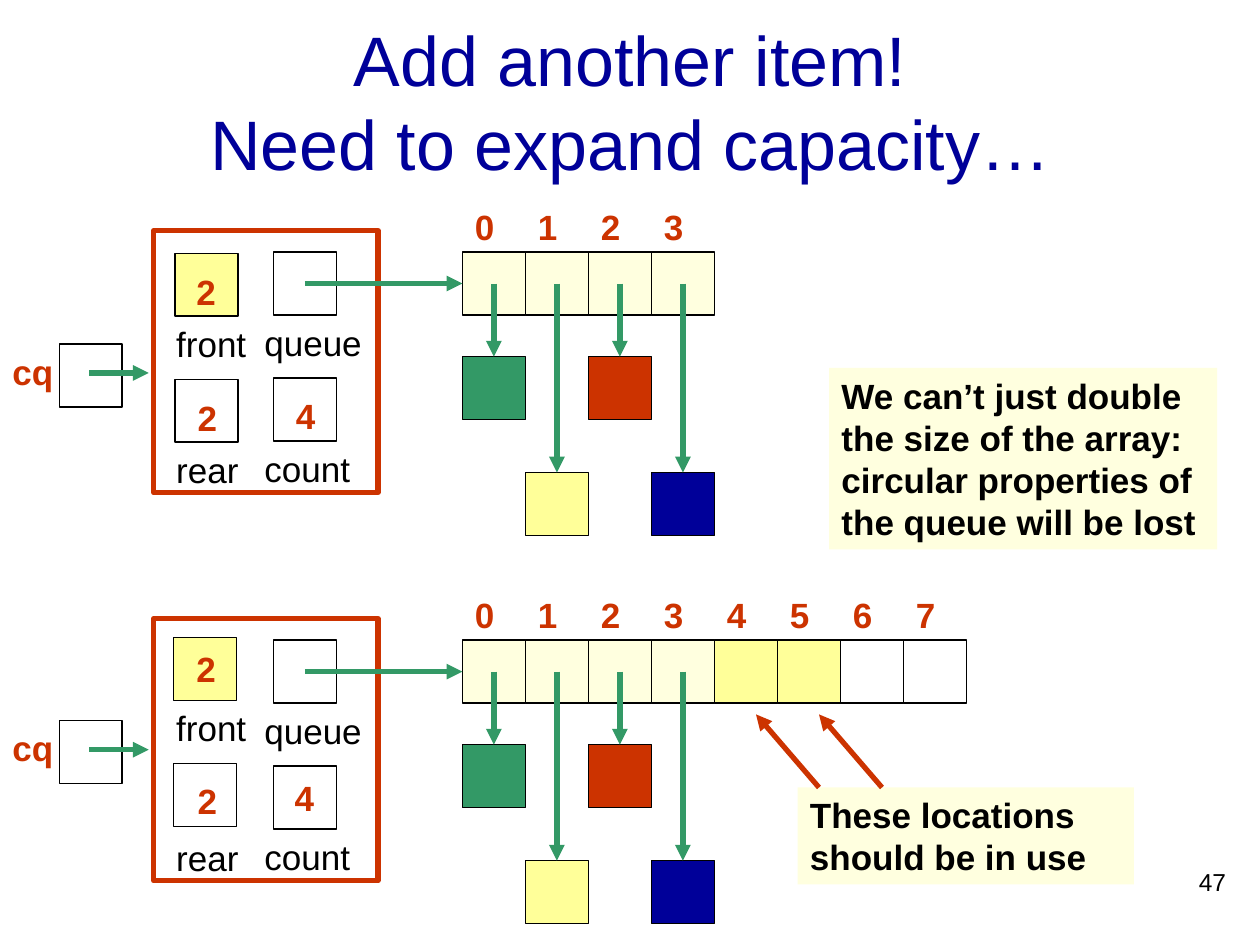
from dataclasses import dataclass

from lxml import etree
from pptx import Presentation
from pptx.dml.color import RGBColor
from pptx.enum import shapes as es, text as et
from pptx.oxml import ns
from pptx.util import Inches, Pt

RED, GREEN, BLUE = "CC3300", "339966", "000099"
CREAM, YELLOW, BLACK = "FFFFDF", "FFFF99", "000000"
CELL = 0.5
ROW = 3.67  # left edge of the array


@dataclass
class Field:
    """A variable: its box, its name below and its value inside."""
    name: str
    left: float
    top: float
    name_at: tuple[float, float]
    value: str = ""
    value_at: tuple[float, float] = (0, 0)
    fill: str | None = None


@dataclass
class Stage:
    top: float
    cq_top: float
    fields: list[Field]
    cells: list[str | None]


@dataclass
class Item:
    slot: int
    drop: float
    fill: str


@dataclass
class Note:
    text: str
    left: float
    top: float
    width: float
    height: float


ITEMS = [Item(0, 0.83, GREEN), Item(1, 1.75, YELLOW),
         Item(2, 0.83, RED), Item(3, 1.75, BLUE)]

STAGES = [
    Stage(2, 2.73, [
        Field("front", 1.39, 2.01, (1.3, 2.51), "2", (1.46, 2.1), YELLOW),
        Field("rear", 1.39, 3.01, (1.3, 3.51), "2", (1.47, 3.1)),
        Field("queue", 2.17, 2, (2, 2.5)),
        Field("count", 2.17, 3, (2, 3.5), "4", (2.25, 3.08)),
    ], [CREAM] * 4),
    Stage(5.08, 5.72, [
        Field("front", 1.38, 5.06, (1.3, 5.56), "2", (1.46, 5.09), YELLOW),
        Field("rear", 1.38, 6.06, (1.3, 6.59), "2", (1.47, 6.14)),
        Field("queue", 2.17, 5.08, (2, 5.58)),
        Field("count", 2.17, 6.08, (2, 6.58), "4", (2.24, 6.11)),
    ], [CREAM] * 4 + [YELLOW] * 2 + [None] * 2),
]

NOTES = [
    Note("We can’t just double the size of the array: circular properties "
         "of the queue will be lost", 6.58, 2.92, 3.08, 1.44),
    Note("These locations should be in use", 6.33, 6.25, 2.67, 0.77),
]


def rgb(code: str) -> RGBColor:
    return RGBColor.from_string(code)


def add_run(para, words: str, size: float, color: str, bold=False) -> None:
    run = para.add_run()
    run.text = words
    font = run.font
    font.name, font.size, font.bold = "Arial", Pt(size), bold
    font.color.rgb = rgb(color)


def add_label(slide, words: str, left: float, top: float, width: float,
              color=RED, bold=True, size=20, height=0.44):
    box = slide.shapes.add_textbox(*map(Inches, (left, top, width, height)))
    box.text_frame.word_wrap = True
    box.text_frame.auto_size = et.MSO_AUTO_SIZE.SHAPE_TO_FIT_TEXT
    add_run(box.text_frame.paragraphs[0], words, size, color, bold)
    return box


def add_box(slide, left: float, top: float, width=CELL, height=CELL,
            fill: str | None = None, line: str | None = BLACK, weight=0.75):
    box = slide.shapes.add_shape(es.MSO_SHAPE.RECTANGLE,
                                 *map(Inches, (left, top, width, height)))
    box.shadow.inherit = False
    if fill:
        box.fill.solid()
        box.fill.fore_color.rgb = rgb(fill)
    else:
        box.fill.background()
    if line:
        box.line.color.rgb = rgb(line)
        box.line.width = Pt(weight)
    else:
        box.line.fill.background()
    return box


def add_arrow(slide, x1: float, y1: float, x2: float, y2: float, color=GREEN):
    arrow = slide.shapes.add_connector(es.MSO_CONNECTOR.STRAIGHT,
                                       *map(Inches, (x1, y1, x2, y2)))
    arrow.line.color.rgb = rgb(color)
    arrow.line.width = Pt(3)
    etree.SubElement(arrow.line._get_or_add_ln(), ns.qn("a:tailEnd"),
                     type="triangle")
    etree.SubElement(arrow._element.spPr, ns.qn("a:effectLst"))
    return arrow


def add_field(slide, field: Field) -> None:
    add_box(slide, field.left, field.top, fill=field.fill)
    add_label(slide, field.name, *field.name_at, 1, BLACK, False)
    if field.value:
        add_label(slide, field.value, *field.value_at, 0.39)


def add_stage(slide, stage: Stage) -> None:
    top, mid = stage.top, stage.top + CELL / 2
    for field in stage.fields:
        add_field(slide, field)
    add_box(slide, 1.22, top - 0.17, 1.78, 2.08, line=RED, weight=3)

    cells = []
    for i, fill in enumerate(stage.cells):
        left = ROW + i * CELL
        cells.append(add_box(slide, left, top, fill=fill))
        add_label(slide, str(i), left, top - 0.42, 0.39)
    add_arrow(slide, 2.42, mid, ROW, mid).end_connect(cells[0], 1)

    for item in ITEMS:
        left, low = ROW + item.slot * CELL, top + item.drop
        box = add_box(slide, left, low, fill=item.fill)
        x = left + CELL / 2
        add_arrow(slide, x, mid, x, low).end_connect(box, 0)

    add_label(slide, "cq", 0, stage.cq_top, 0.94)
    add_box(slide, 0.47, stage.cq_top)
    y = stage.cq_top + 0.23
    add_arrow(slide, 0.71, y, 1.18, y)


def add_note(slide, note: Note) -> None:
    box = add_box(slide, note.left, note.top, note.width, note.height,
                  CREAM, None)
    frame = box.text_frame
    frame.word_wrap = True
    frame.vertical_anchor = et.MSO_ANCHOR.TOP
    para = frame.paragraphs[0]
    para.alignment = et.PP_ALIGN.LEFT
    add_run(para, note.text, 20, BLACK, True)


def add_title(slide) -> None:
    title = slide.shapes.title
    title.left, title.top, title.width, title.height = map(
        Inches, (0.75, 0.17, 8.5, 1.25))
    frame = title.text_frame
    frame.auto_size = et.MSO_AUTO_SIZE.NONE
    frame.vertical_anchor = et.MSO_ANCHOR.MIDDLE
    para = frame.paragraphs[0]
    para.alignment = et.PP_ALIGN.CENTER
    add_run(para, "Add another item!", 40, BLUE)
    para.add_line_break()
    add_run(para, "Need to expand capacity…", 40, BLUE)


def main() -> None:
    deck = Presentation()
    deck.slide_width, deck.slide_height = Inches(10), Inches(7.5)
    slide = deck.slides.add_slide(deck.slide_layouts[5])
    add_title(slide)
    for stage in STAGES:
        add_stage(slide, stage)
    for note in NOTES:
        add_note(slide, note)
    for x in (6, 6.5):
        add_arrow(slide, x + 0.5, 6.25, x, 5.67, RED)
    page = add_label(slide, "47", 7.75, 6.83, 2.08, BLACK, False, 14, 0.5)
    page.text_frame.auto_size = et.MSO_AUTO_SIZE.NONE
    page.text_frame.paragraphs[0].alignment = et.PP_ALIGN.RIGHT
    deck.save("out.pptx")


if __name__ == "__main__":
    main()
